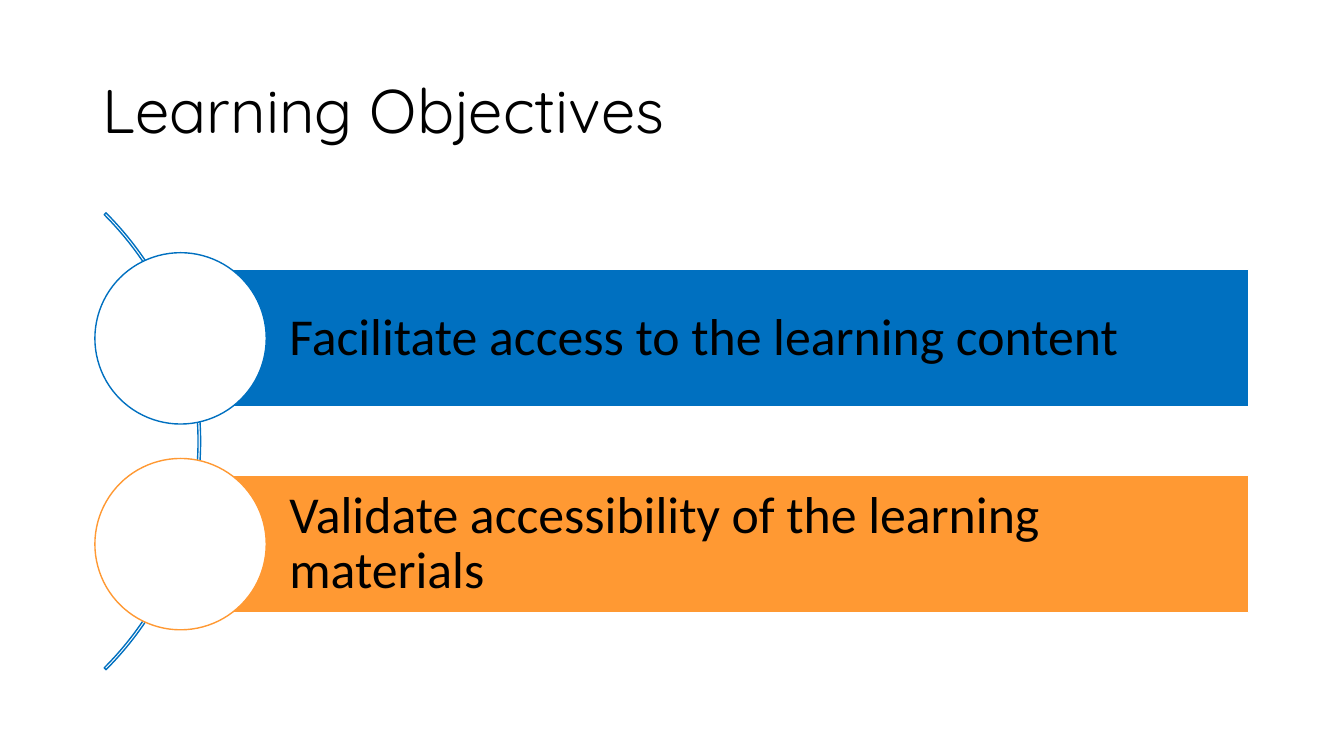
from pptx import Presentation
from pptx.dml.color import RGBColor
from pptx.enum.shapes import MSO_SHAPE
from pptx.enum.text import MSO_ANCHOR, MSO_AUTO_SIZE, PP_ALIGN
from pptx.util import Pt

ARC, BAR, CIRCLE = MSO_SHAPE.BLOCK_ARC, MSO_SHAPE.RECTANGLE, MSO_SHAPE.OVAL
LEFT, MIDDLE, NO_FIT = PP_ALIGN.LEFT, MSO_ANCHOR.MIDDLE, MSO_AUTO_SIZE.NONE
BLACK, WHITE, BLUE, ORANGE = "000000", "FFFFFF", "0070C0", "FF9933"
TITLE_ONLY = 5

OBJECTIVES = [
    ("Facilitate access to the learning content", BLUE),
    ("Validate accessibility of the learning materials", ORANGE),
]


def colour(value):
    return RGBColor.from_string(value)


class ObjectivesSlide:
    """Holds the text style and the current slide."""

    title_font, body_font = "Quicksand", "Calibri"
    title_size, body_size = 44, 37

    def __init__(self, deck):
        self.page = deck.slides.add_slide(deck.slide_layouts[TITLE_ONLY])

    def set_text(self, box, text, font, size, insets):
        frame = box.text_frame
        sides = ("margin_left", "margin_top", "margin_right", "margin_bottom")
        settings = dict(zip(sides, map(Pt, insets)))
        settings.update(word_wrap=True, auto_size=NO_FIT, vertical_anchor=MIDDLE)
        for name, value in settings.items():
            setattr(frame, name, value)
        para = frame.paragraphs[0]
        para.alignment, para.line_spacing = LEFT, 0.9
        span = para.add_run()
        span.text = text
        for name, value in {"name": font, "size": Pt(size), "bold": False}.items():
            setattr(span.font, name, value)
        span.font.color.rgb = colour(BLACK)

    def title(self, text, left, top, width, height):
        box = self.page.shapes.title
        place = {"left": left, "top": top, "width": width, "height": height}
        for name, value in place.items():
            setattr(box, name, Pt(value))
        self.set_text(box, text, self.title_font, self.title_size,
                      (7.2, 3.6, 7.2, 3.6))

    def shape(self, kind, left, top, width, height, line, fill=None):
        shape = self.page.shapes.add_shape(
            kind, Pt(left), Pt(top), Pt(width), Pt(height))
        shape.shadow.inherit = False
        if fill:
            shape.fill.solid()
            shape.fill.fore_color.rgb = colour(fill)
        else:
            shape.fill.background()
        shape.line.color.rgb = colour(line)
        shape.line.width = Pt(1)
        return shape

    def arc(self, right, middle, diameter, line):
        arc = self.shape(ARC, right - diameter, middle - diameter / 2,
                         diameter, diameter, line)
        # Start and end angles (315 and 45 degrees), then thickness
        for index, value in enumerate((189, 27, 0.004)):
            arc.adjustments[index] = value

    def objective(self, text, fill, left, middle, width, height, diameter):
        bar = self.shape(BAR, left, middle - height / 2, width, height, WHITE, fill)
        self.set_text(bar, text, self.body_font, self.body_size,
                      (77.7, 7.2, 7.2, 7.2))
        self.shape(CIRCLE, left - diameter / 2, middle - diameter / 2,
                   diameter, diameter, fill, WHITE)


def main():
    deck = Presentation()
    deck.slide_width, deck.slide_height = Pt(960), Pt(540)
    slide = ObjectivesSlide(deck)

    # Heading
    slide.title("Learning Objectives", 66, 28.8, 828, 104.4)

    # Curved spine behind the objectives
    centre, pitch = 315.2, 147
    slide.arc(143.3, centre, 461.5, BLUE)

    # One bar and circle per objective, spread evenly about the centre
    first = centre - pitch * (len(OBJECTIVES) - 1) / 2
    for index, (text, fill) in enumerate(OBJECTIVES):
        slide.objective(text, fill, left=129, middle=first + index * pitch,
                        width=763, height=98, diameter=122.4)

    deck.save("out.pptx")


if __name__ == "__main__":
    main()
